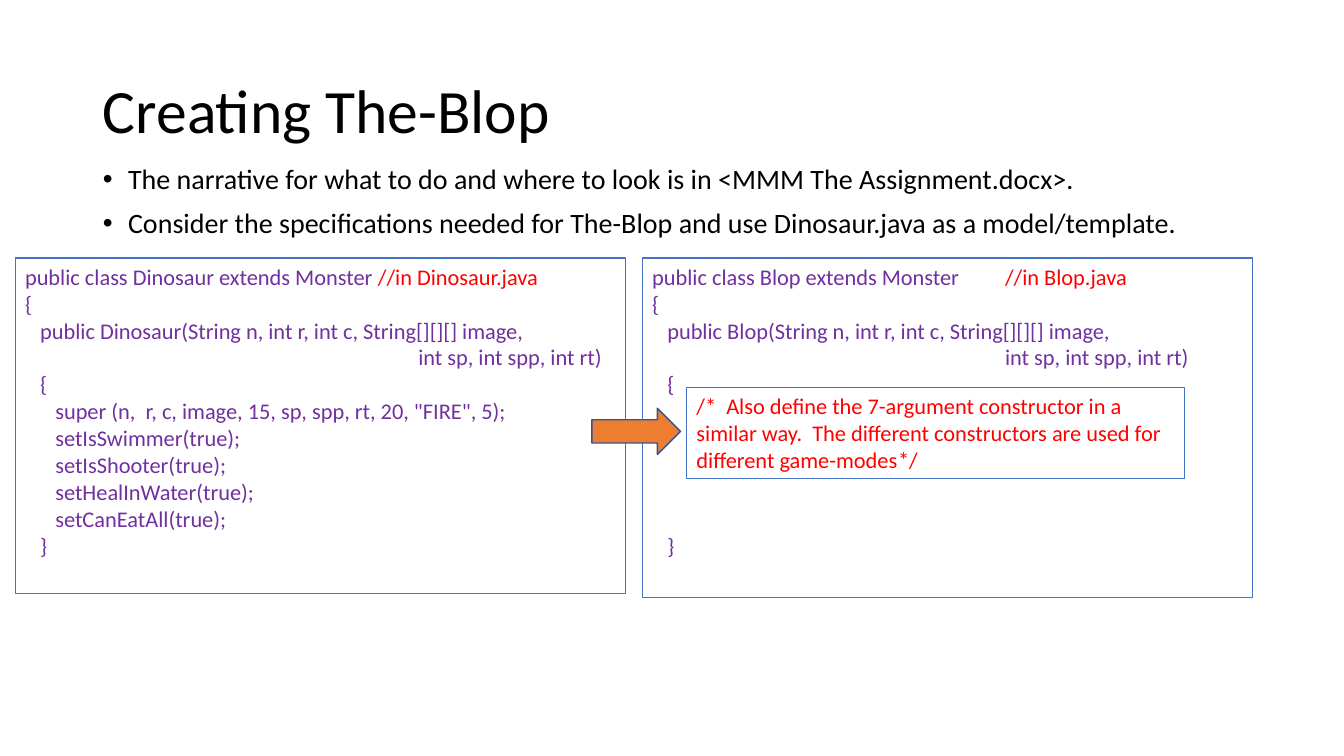
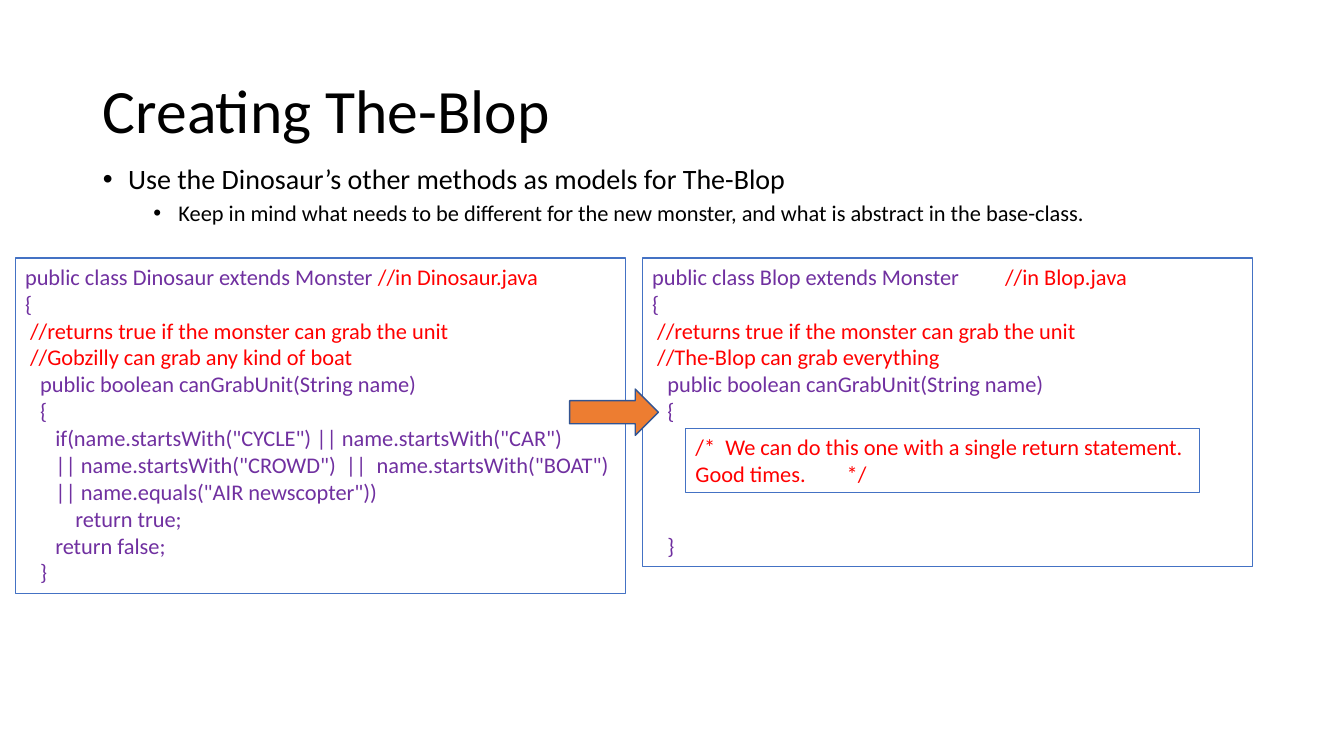
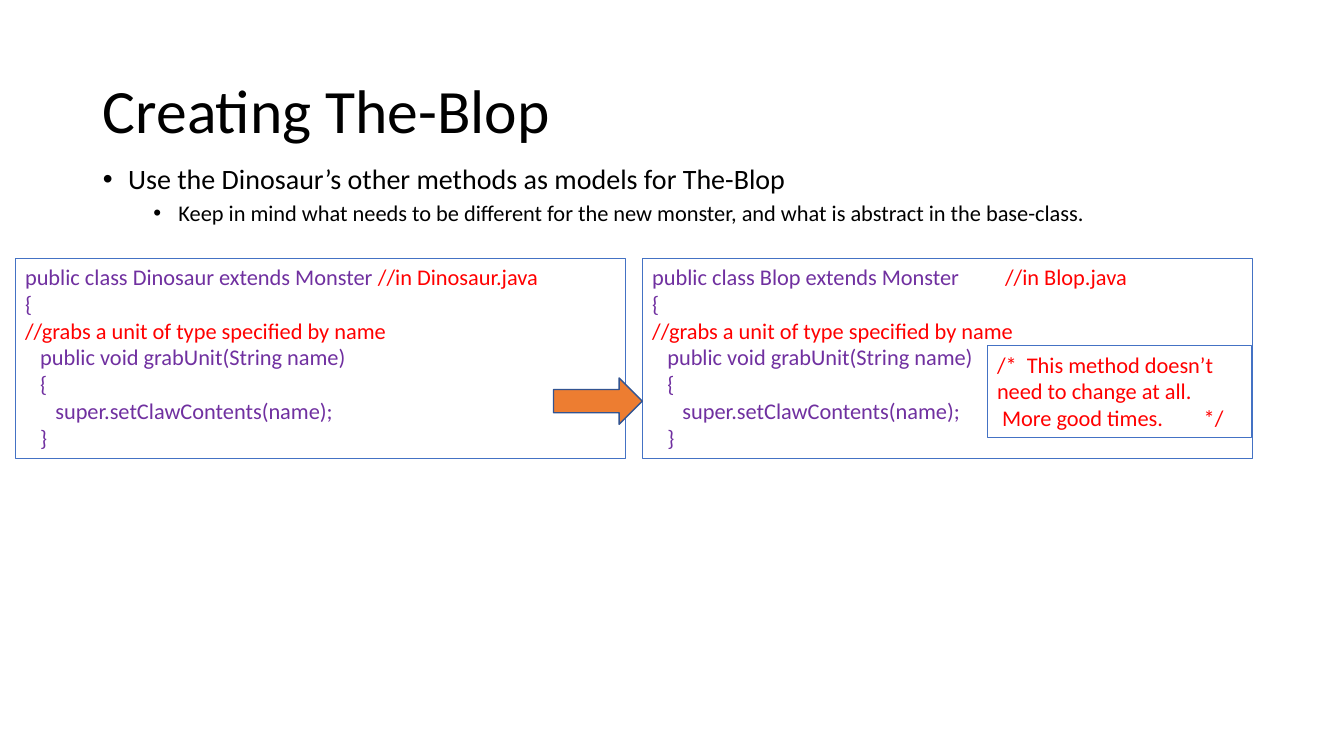
from lxml.etree import SubElement
from pptx import Presentation
from pptx.dml.color import RGBColor
from pptx.enum.shapes import MSO_SHAPE
from pptx.enum.text import MSO_ANCHOR, MSO_AUTO_SIZE, PP_ALIGN
from pptx.oxml.ns import qn
from pptx.util import Inches, Pt

BLACK = RGBColor(0x00, 0x00, 0x00)
CODE_PURPLE = RGBColor(0x70, 0x30, 0xA0)
COMMENT_RED = RGBColor(0xFF, 0x00, 0x00)
BOX_BLUE = RGBColor(0x44, 0x72, 0xC4)
ARROW_ORANGE = RGBColor(0xED, 0x7D, 0x31)
ARROW_EDGE = RGBColor(0x32, 0x54, 0x91)

FONT = "Calibri"
TITLE = "Creating The-Blop"
CODE_TOP, CODE_WIDTH = 2.56, 6.05
DINOSAUR_LEFT, BLOP_LEFT = 0.15, 6.37
COMMENT_TAB = 4
SPACE_WIDTH = 0.05
LINE_HEIGHT = 19.2

# size, left margin, space before for each list level
LIST_LEVELS = [(20, 0.25, 10), (16, 0.75, 5)]

METHOD_BULLETS = [
    (0, "Use the Dinosaur’s other methods as models for The-Blop"),
    (1, "Keep in mind what needs to be different for the new monster, "
        "and what is abstract in the base-class."),
]


def add_text(paragraph, text, size=16, color=BLACK):
    run = paragraph.add_run()
    run.text = text
    run.font.name = FONT
    run.font.size = Pt(size)
    run.font.color.rgb = color


def next_paragraph(frame):
    """Return the empty first paragraph, or a new one after the text."""
    first = frame.paragraphs[0]
    return frame.add_paragraph() if first.runs else first


def set_indent(paragraph, left, first_line=0):
    properties = paragraph._p.get_or_add_pPr()
    properties.set("marL", str(Inches(left)))
    properties.set("indent", str(Inches(first_line)))
    return properties


def set_tab(paragraph, position):
    tabs = SubElement(paragraph._p.get_or_add_pPr(), qn("a:tabLst"))
    SubElement(tabs, qn("a:tab"), pos=str(Inches(position)), algn="l")


def place(shape, left, top, width, height):
    shape.left, shape.top = Inches(left), Inches(top)
    shape.width, shape.height = Inches(width), Inches(height)


def prepare_layout(layout):
    """Give the title and list placeholders their shared place."""
    title, body = layout.placeholders[0], layout.placeholders[1]
    place(title, 0.92, 0.4, 11.5, 1.45)
    place(body, 0.92, 1.59, 11.5, 0.97)
    title.text_frame.vertical_anchor = MSO_ANCHOR.MIDDLE
    for placeholder in (title, body):
        placeholder.text_frame.auto_size = MSO_AUTO_SIZE.NONE


def add_lesson_slide(presentation, bullets):
    slide = presentation.slides.add_slide(presentation.slide_layouts[1])
    title = slide.shapes.title.text_frame.paragraphs[0]
    title.alignment = PP_ALIGN.LEFT
    title.line_spacing = 0.9
    add_text(title, TITLE, size=44)
    for level, text in bullets:
        size, margin, space_before = LIST_LEVELS[level]
        paragraph = next_paragraph(slide.placeholders[1].text_frame)
        paragraph.level = level
        paragraph.line_spacing = 0.9
        paragraph.space_before = Pt(space_before)
        properties = set_indent(paragraph, margin, -0.25)
        SubElement(properties, qn("a:buFont"), typeface="Arial")
        SubElement(properties, qn("a:buChar"), char="•")
        add_text(paragraph, text, size=size)
    return slide


def add_outlined_box(slide, left, top, width, height):
    box = slide.shapes.add_textbox(
        Inches(left), Inches(top), Inches(width), Inches(height))
    box.line.color.rgb = BOX_BLUE
    box.line.width = Pt(0.75)
    box.text_frame.word_wrap = True
    return box.text_frame


def add_code_box(slide, left, height, class_name, lines, gap_lines=0):
    """Show a class; lines hold (indent in characters, text).

    gap_lines is the room left above the last line."""
    frame = add_outlined_box(slide, left, CODE_TOP, CODE_WIDTH, height)
    header = f"public class {class_name} extends Monster\t//in {class_name}.java"
    for indent, text in [(0, header), (0, "{")] + lines:
        paragraph = next_paragraph(frame)
        set_indent(paragraph, indent * SPACE_WIDTH)
        code, slashes, comment = text.partition("//")
        if code:
            add_text(paragraph, code, color=CODE_PURPLE)
        if slashes:
            add_text(paragraph, slashes + comment, color=COMMENT_RED)
        if "\t" in code:
            set_tab(paragraph, COMMENT_TAB)
    if gap_lines:
        frame.paragraphs[-1].space_before = Pt(gap_lines * LINE_HEIGHT)


def add_note(slide, left, top, width, height, lines, end_tab):
    """Add a red comment box; end_tab places the closing mark."""
    frame = add_outlined_box(slide, left, top, width, height)
    for indent, text in lines:
        paragraph = next_paragraph(frame)
        set_indent(paragraph, indent * SPACE_WIDTH)
        add_text(paragraph, text, color=COMMENT_RED)
        if "\t" in text:
            set_tab(paragraph, end_tab)


def add_arrow(slide, left, top):
    arrow = slide.shapes.add_shape(
        MSO_SHAPE.RIGHT_ARROW,
        Inches(left), Inches(top), Inches(0.88), Inches(0.46))
    arrow.shadow.inherit = False
    arrow.fill.solid()
    arrow.fill.fore_color.rgb = ARROW_ORANGE
    arrow.line.color.rgb = ARROW_EDGE
    arrow.line.width = Pt(1)


def add_constructor_slide(presentation):
    slide = add_lesson_slide(presentation, [
        (0, "The narrative for what to do and where to look is in "
            "<MMM The Assignment.docx>."),
        (0, "Consider the specifications needed for The-Blop and use "
            "Dinosaur.java as a model/template."),
    ])
    add_code_box(slide, DINOSAUR_LEFT, 3.33, "Dinosaur", [
        (3, "public Dinosaur(String n, int r, int c, String[][][] image,"),
        (78, "int sp, int spp, int rt)"),
        (3, "{"),
        (6, 'super (n,  r, c, image, 15, sp, spp, rt, 20, "FIRE", 5);'),
        (6, "setIsSwimmer(true);"),
        (6, "setIsShooter(true);"),
        (6, "setHealInWater(true);"),
        (6, "setCanEatAll(true);"),
        (3, "}"),
    ])
    add_code_box(slide, BLOP_LEFT, 3.37, "Blop", [
        (3, "public Blop(String n, int r, int c, String[][][] image,"),
        (70, "int sp, int spp, int rt)"),
        (3, "{"),
        (3, "}"),
    ], gap_lines=5)
    add_arrow(slide, 5.87, 4.05)
    add_note(slide, 6.81, 3.84, 4.94, 0.91, [
        (0, "/*  Also define the 7-argument constructor in a similar way.  "
            "The different constructors are used for different game-modes\t*/"),
    ], end_tab=4.2)


def add_can_grab_slide(presentation):
    slide = add_lesson_slide(presentation, METHOD_BULLETS)
    purpose = (1, "//returns true if the monster can grab the unit")
    signature = [(3, "public boolean canGrabUnit(String name)"), (3, "{")]
    add_code_box(slide, DINOSAUR_LEFT, 3.33, "Dinosaur", [
        purpose,
        (1, "//Gobzilly can grab any kind of boat"),
        *signature,
        (6, 'if(name.startsWith("CYCLE") || name.startsWith("CAR")'),
        (6, '|| name.startsWith("CROWD")  ||  name.startsWith("BOAT")'),
        (6, '|| name.equals("AIR newscopter"))'),
        (10, "return true;"),
        (6, "return false;"),
        (3, "}"),
    ])
    add_code_box(slide, BLOP_LEFT, 3.06, "Blop", [
        purpose,
        (1, "//The-Blop can grab everything"),
        *signature,
        (3, "}"),
    ], gap_lines=4)
    add_arrow(slide, 5.65, 3.86)
    add_note(slide, 6.8, 4.25, 5.1, 0.64, [
        (0, "/*  We can do this one with a single return statement.  "
            "Good times.\t*/"),
    ], end_tab=4.5)


def add_grab_slide(presentation):
    slide = add_lesson_slide(presentation, METHOD_BULLETS)
    method = [
        (0, "//grabs a unit of type specified by name"),
        (3, "public void grabUnit(String name)"),
        (3, "{"),
        (6, "super.setClawContents(name);"),
        (3, "}"),
    ]
    for left, class_name in ((DINOSAUR_LEFT, "Dinosaur"), (BLOP_LEFT, "Blop")):
        add_code_box(slide, left, 1.99, class_name, method)
    add_arrow(slide, 5.49, 3.75)
    add_note(slide, 9.79, 3.43, 2.62, 0.91, [
        (0, "/*  This method doesn’t need to change at all."),
        (1, "More good times.\t*/"),
    ], end_tab=2.05)


def main():
    presentation = Presentation()
    presentation.slide_width = Inches(13.33)
    presentation.slide_height = Inches(7.5)
    prepare_layout(presentation.slide_layouts[1])
    add_constructor_slide(presentation)
    add_can_grab_slide(presentation)
    add_grab_slide(presentation)
    presentation.save("out.pptx")


if __name__ == "__main__":
    main()
